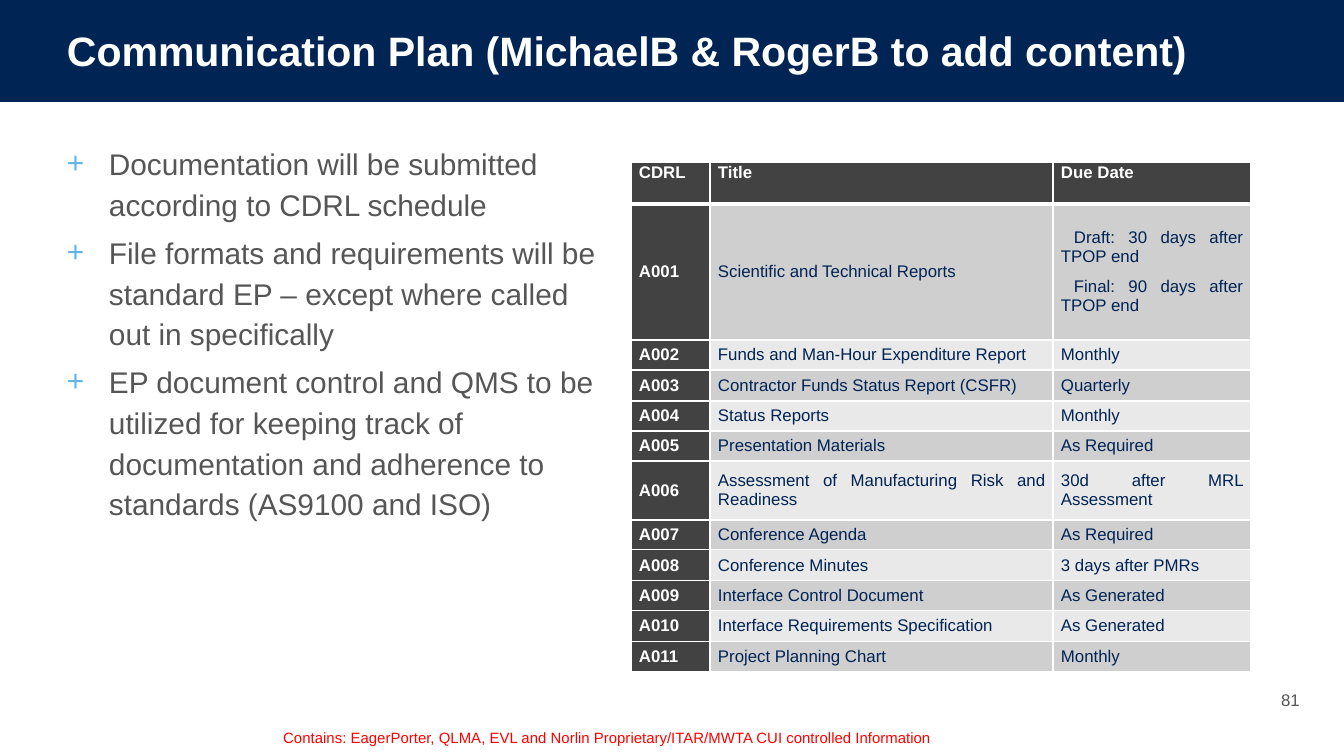
from lxml.etree import SubElement
from pptx import Presentation
from pptx.dml.color import RGBColor
from pptx.enum.shapes import MSO_SHAPE
from pptx.enum.text import MSO_ANCHOR as ANCHOR, PP_ALIGN as ALIGN
from pptx.oxml import parse_xml
from pptx.oxml.ns import nsdecls, qn
from pptx.util import Pt

PX = 914400 / 134.4
NAVY, WHITE, GREY, DARK = "002454", "FFFFFF", "565656", "424242"
BANDS = ["CFCFCF", "E9E9E9"]


def px(*lengths):
    return [round(length * PX) for length in lengths]


def style(paragraph, size, color, bold=False):
    font = paragraph.font
    for name, value in {"size": Pt(size), "name": "Arial", "bold": bold}.items():
        setattr(font, name, value)
    font.color.rgb = RGBColor.from_string(color)


prs = Presentation()
prs.slide_width, prs.slide_height = px(1344, 756)
slide = prs.slides.add_slide(prs.slide_layouts[5])
shapes = slide.shapes

# Header band, placed behind the title
band = shapes.add_shape(MSO_SHAPE.RECTANGLE, *px(0, 0, 1344, 102))
band.shadow.inherit = False
band.fill.solid()
band.fill.fore_color.rgb = RGBColor.from_string(NAVY)
band.line.fill.background()
title = shapes.title
title._element.addprevious(band._element)

# Title
title.left, title.top, title.width, title.height = px(0, 0, 1344, 101)
title.text_frame.text = "Communication Plan (MichaelB & RogerB to add content)"
title.text_frame.vertical_anchor = ANCHOR.MIDDLE
title.text_frame.paragraphs[0].alignment = ALIGN.LEFT
style(title.text_frame.paragraphs[0], 22, WHITE, True)

# Bulleted points
points = shapes.add_textbox(*px(0, 134, 672, 538)).text_frame
points.word_wrap = True
for frame in (title.text_frame, points):
    frame.margin_left, frame.margin_right, frame.margin_top, frame.margin_bottom = px(67, 67, 7, 7)
points.text = "\n".join([
    "Documentation will be submitted according to CDRL schedule",
    "File formats and requirements will be standard EP – except where called out in specifically",
    "EP document control and QMS to be utilized for keeping track of documentation "
    "and adherence to standards (AS9100 and ISO)",
])
for i, point in enumerate(points.paragraphs):
    point.line_spacing = 1.14
    point.space_before = Pt(3.7 if i else 0)
    props = point._p.get_or_add_pPr()
    hang, = px(42)
    props.set("marL", str(hang))
    props.set("indent", str(-hang))
    bullet_color = SubElement(props, qn("a:buClr"))
    SubElement(bullet_color, qn("a:srgbClr"), val="62B5E5")
    SubElement(props, qn("a:buFont"), typeface="Arial")
    SubElement(props, qn("a:buChar"), char="+")
    style(point, 16, GREY)

# CDRL schedule table
schedule = [
    ("CDRL", "Title", "Due Date"),
    ("A001", "Scientific and Technical Reports",
     "Draft: 30 days after TPOP end\nFinal: 90 days after TPOP end"),
    ("A002", "Funds and Man-Hour Expenditure Report", "Monthly"),
    ("A003", "Contractor Funds Status Report (CSFR)", "Quarterly"),
    ("A004", "Status Reports", "Monthly"),
    ("A005", "Presentation Materials", "As Required"),
    ("A006", "Assessment of Manufacturing Risk and Readiness", "30d after MRL Assessment"),
    ("A007", "Conference Agenda", "As Required"),
    ("A008", "Conference Minutes", "3 days after PMRs"),
    ("A009", "Interface Control Document", "As Generated"),
    ("A010", "Interface Requirements Specification", "As Generated"),
    ("A011", "Project Planning Chart", "Monthly"),
]
col_widths = [79, 343, 198]
row_heights = [42, 136, 30, 31, 30, 30, 59, 30, 31, 30, 31, 30]
table = shapes.add_table(len(schedule), len(col_widths),
                         *px(631, 162, sum(col_widths), sum(row_heights))).table
table.horz_banding = False
for column, width in zip(table.columns, px(*col_widths)):
    column.width = width
for row, height in zip(table.rows, px(*row_heights)):
    row.height = height

for r, entry in enumerate(schedule):
    for c, text in enumerate(entry):
        cell = table.cell(r, c)
        heading = r == 0 or c == 0
        cell.text = text
        cell.vertical_anchor = ANCHOR.MIDDLE if r else ANCHOR.TOP
        cell.margin_left, cell.margin_right, cell.margin_top, cell.margin_bottom = px(8, 8, 0, 0)
        cell.fill.solid()
        cell.fill.fore_color.rgb = RGBColor.from_string(DARK if heading else BANDS[(r - 1) % 2])
        for i, line in enumerate(cell.text_frame.paragraphs):
            line.alignment = ALIGN.JUSTIFY
            line.space_before = Pt(6 if i else 0)
            line.line_spacing = 1.0 if r else 1.07
            if "\n" in text:
                line._p.get_or_add_pPr().set("indent", str(*px(13)))
            style(line, 9, WHITE if heading else "002354", heading)

        # White rules, thicker below the heading row
        for i, side in enumerate("LRTB"):
            thick = (r, side) in [(0, "B"), (1, "T")]
            cell._tc.get_or_add_tcPr().insert(i, parse_xml(
                f'<a:ln{side} {nsdecls("a")} w="{Pt(3 if thick else 1)}"><a:solidFill>'
                f'<a:srgbClr val="{WHITE}"/></a:solidFill></a:ln{side}>'))

# Page number and handling notice
for text, box, size, color, align, anchor in [
    ("81", (1265, 680, 51, 40), 9, GREY, ALIGN.CENTER, ANCHOR.MIDDLE),
    ("Contains: EagerPorter, QLMA, EVL and Norlin Proprietary/ITAR/MWTA CUI controlled Information",
     (270, 722, 935, 32), 8, "FF0000", ALIGN.LEFT, ANCHOR.TOP),
]:
    frame = shapes.add_textbox(*px(*box)).text_frame
    frame.word_wrap = True
    frame.text = text
    frame.vertical_anchor = anchor
    frame.paragraphs[0].alignment = align
    style(frame.paragraphs[0], size, color)

prs.save("out.pptx")
